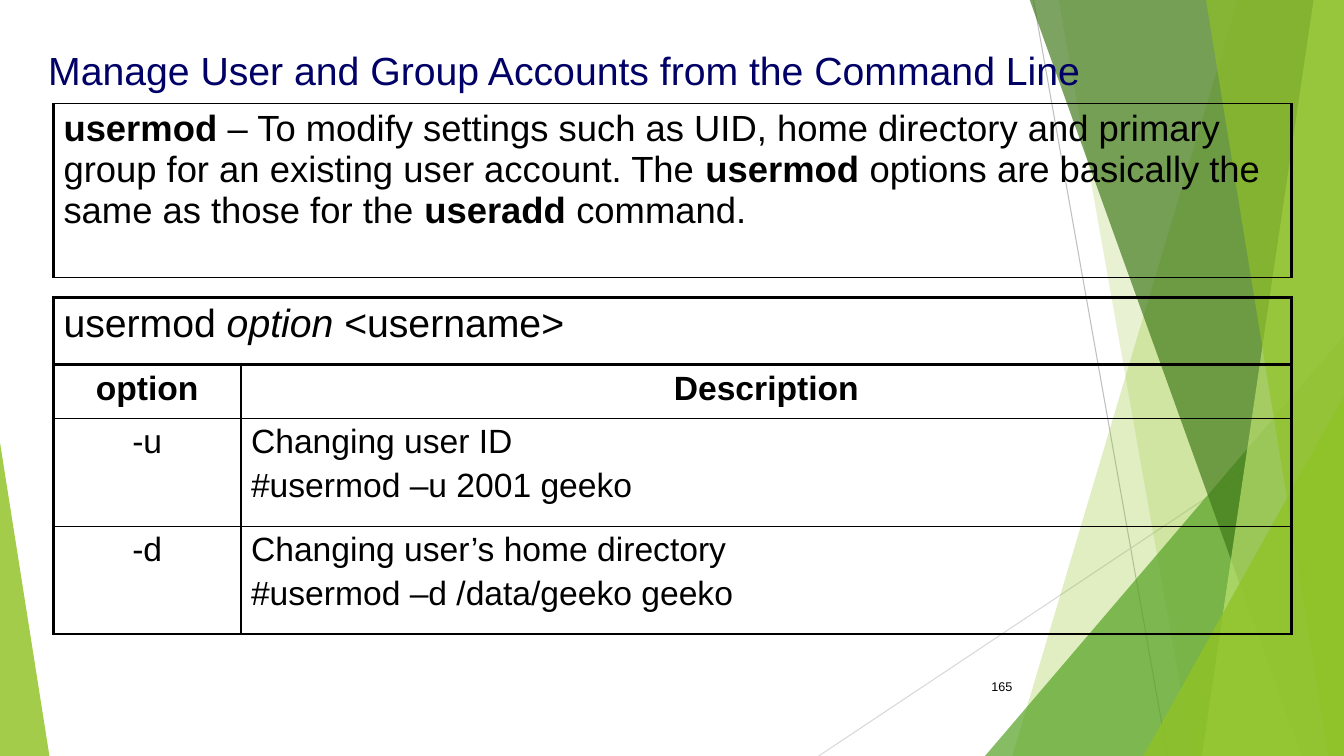
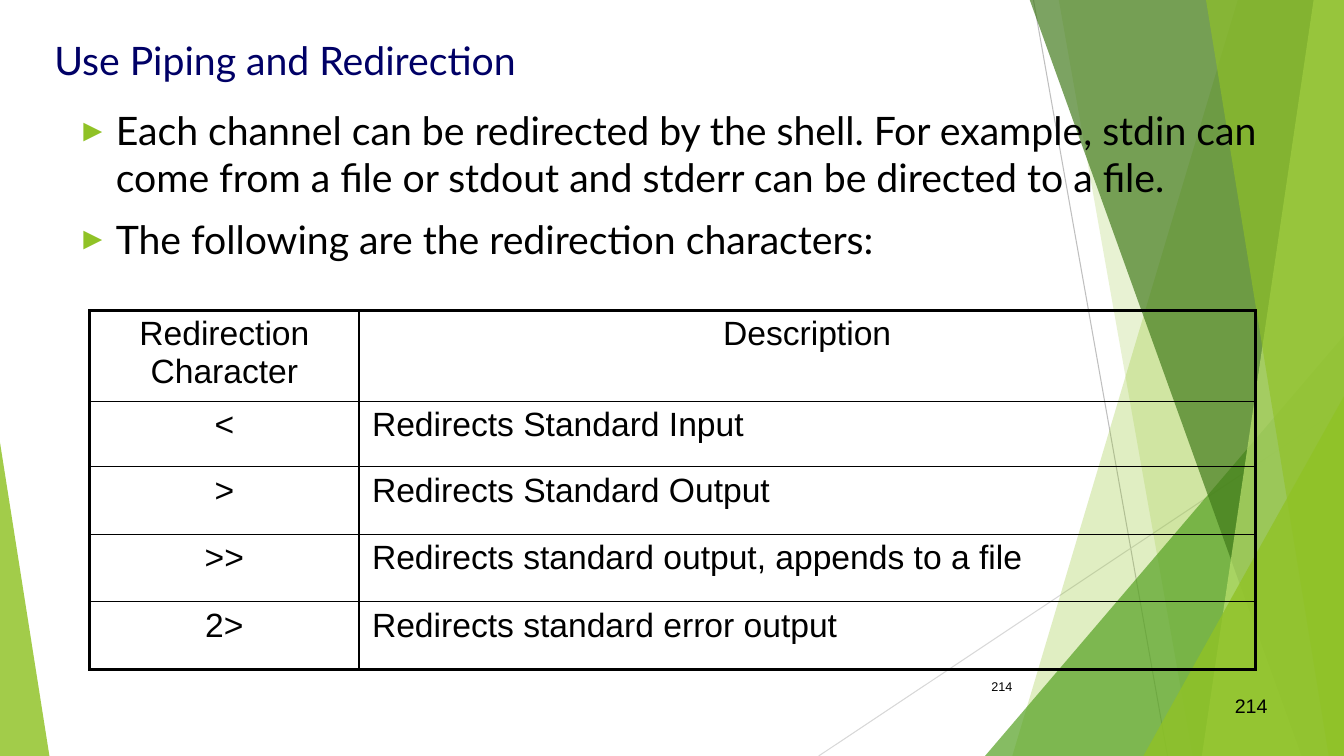
from lxml.etree import SubElement
from pptx import Presentation
from pptx.dml.color import RGBColor as RGB
from pptx.enum.shapes import MSO_CONNECTOR as CONN, MSO_SHAPE as SHAPE
from pptx.enum.text import MSO_ANCHOR as ANCHOR, PP_ALIGN as ALIGN
from pptx.oxml import parse_xml
from pptx.oxml.ns import nsdecls, qn
from pptx.util import Pt

PX = 9144
W, H = 1333, 750
COLORS = {
    "text": "000000", "title": "000066", "green": "90C226",
    "leaf": "54A021", "forest": "3F7818", "lime": "BFE471",
    "gray": "BFBFBF", "silver": "D8D8D8",
}
THICK, THIN = 2.25, 1
BLADES = [
    ("free", (1228, 1004), "green", 28),
    ("free", (1050, 1183), "green", 20),
    ("triangle", (977, 333, 356, 417, 1), "leaf", 70),
    ("free", (1021, 1291), "forest", 68),
    ("free", (1303, 1192), "lime", 68),
    ("free", (1196, 1318), "green", 63),
    ("triangle", (1134, 393, 199, 357, 1), "green", 80),
    ("triangle", (0, 439, 49, 311, 0), "green", 83),
]


def rgb(name):
    return RGB.from_string(COLORS[name])


def write(p, text, size=24, font="Arial", color="text", bold=False, italic=False):
    r = p.add_run()
    r.text = text
    f = r.font
    f.size, f.name, f.bold, f.italic = Pt(size), font, bold, italic
    f.color.rgb = rgb(color)


class Deck:
    def __init__(self):
        self.prs = Presentation()
        self.prs.slide_width, self.prs.slide_height = W * PX, H * PX
        self.s = None

    def slide(self):
        self.s = self.prs.slides.add_slide(self.prs.slide_layouts[6])
        self.line(1025, 0, 1158, H, "gray")
        self.line(W, 403, 812, H, "silver")
        for kind, geometry, color, alpha in BLADES:
            draw = self.blade if kind == "free" else self.triangle
            self.paint(draw(*geometry), color, alpha)

    def line(self, x1, y1, x2, y2, color):
        c = self.s.shapes.add_connector(CONN.STRAIGHT, x1 * PX, y1 * PX, x2 * PX, y2 * PX)
        c.line.color.rgb = rgb(color)
        c.line.width = Pt(0.75)
        SubElement(c._element.spPr, qn("a:effectLst"))

    def blade(self, top, bottom):
        b = self.s.shapes.build_freeform(top, -1, scale=PX)
        b.add_line_segments([(W, -1), (W, H), (bottom, H)])
        return b.convert_to_shape()

    def triangle(self, x, y, w, h, apex):
        sp = self.s.shapes.add_shape(SHAPE.ISOSCELES_TRIANGLE, x * PX, y * PX, w * PX, h * PX)
        sp.adjustments[0] = apex
        return sp

    def paint(self, sp, color, alpha):
        sp.shadow.inherit = False
        sp.fill.solid()
        sp.fill.fore_color.rgb = rgb(color)
        sp.line.fill.background()
        fill = sp._element.spPr.find(qn("a:solidFill"))
        SubElement(fill[0], qn("a:alpha"), val=str(alpha * 1000))

    def text(self, x, y, w, h, text, align=ALIGN.LEFT, anchor=ANCHOR.TOP, spacing=None, **fmt):
        tf = self.s.shapes.add_textbox(x * PX, y * PX, w * PX, h * PX).text_frame
        tf.word_wrap = True
        tf.vertical_anchor = anchor
        p = tf.paragraphs[0]
        p.alignment = align
        if spacing:
            p.line_spacing = spacing
        write(p, text, **fmt)
        return tf

    def title(self, x, y, w, h, text, **fmt):
        self.text(x, y, w, h, text, size=28, color="title", **fmt)

    def number(self, text):
        self.text(939, 661, 75, 40, text, ALIGN.RIGHT, ANCHOR.MIDDLE, size=9)

    def bullets(self, x, y, w, h, items, **fmt):
        tf = self.s.shapes.add_textbox(x * PX, y * PX, w * PX, h * PX).text_frame
        tf.word_wrap = True
        for i, item in enumerate(items):
            p = tf.add_paragraph() if i else tf.paragraphs[0]
            pPr = p._p.get_or_add_pPr()
            pPr.set("marL", str(38 * PX))
            pPr.set("indent", str(-38 * PX))
            color = SubElement(pPr, qn("a:buClr"))
            SubElement(color, qn("a:srgbClr"), val=COLORS["green"])
            SubElement(pPr, qn("a:buSzPct"), val="80000")
            SubElement(pPr, qn("a:buFont"), typeface="Arial")
            SubElement(pPr, qn("a:buChar"), char="►")
            if i:
                p.space_before = Pt(10)
            write(p, item, **fmt)

    def table(self, x, y, cols, rows, data, edges=(THICK,) * 4, margin=10, centered=(), **fmt):
        frame = self.s.shapes.add_table(len(rows), len(cols), x * PX, y * PX,
                                        sum(cols) * PX, sum(rows) * PX)
        t = frame.table
        t.first_row = t.horz_banding = False
        for col, w in zip(t.columns, cols):
            col.width = w * PX
        for row, h in zip(t.rows, rows):
            row.height = h * PX
        left, top, right, bottom = edges
        for i, values in enumerate(data):
            for j, paragraphs in enumerate(values):
                cell = t.cell(i, j)
                cell.margin_left = cell.margin_right = margin * PX
                cell.fill.background()
                self.borders(cell, (
                    left if j == 0 else THIN,
                    right if j == len(cols) - 1 else THIN,
                    top if i == 0 else THIN,
                    bottom if i == len(rows) - 1 else THIN))
                align = ALIGN.CENTER if (i, j) in centered else ALIGN.LEFT
                self.fill_cell(cell, paragraphs, align, fmt)

    def fill_cell(self, cell, paragraphs, align, fmt):
        tf = cell.text_frame
        for k, runs in enumerate(paragraphs):
            p = tf.add_paragraph() if k else tf.paragraphs[0]
            p.alignment = align
            if k:
                p.space_before = Pt(4.8)
            for text, style in runs:
                write(p, text, **{**fmt, **style})

    def borders(self, cell, widths):
        tcPr = cell._tc.get_or_add_tcPr()
        for k, (side, width) in enumerate(zip("LRTB", widths)):
            tcPr.insert(k, parse_xml(
                f'<a:ln{side} {nsdecls("a")} w="{Pt(width)}"><a:solidFill>'
                f'<a:srgbClr val="{COLORS["text"]}"/></a:solidFill></a:ln{side}>'))


def cell(*lines, **style):
    return [[(text, style)] for text in lines]


def usermod_slide(d):
    d.slide()
    d.number("165")
    bold, italic = {"bold": True}, {"italic": True}
    summary = [
        ("usermod", bold),
        (" – To modify settings such as UID, home directory and primary group "
         "for an existing user account. The ", {}),
        ("usermod ", bold),
        ("options are basically the same as those for the ", {}),
        ("useradd ", bold),
        ("command.", {}),
    ]
    d.table(53, 103, [1228], [172], [[[summary]]], edges=(THICK, THIN, THICK, THIN), size=26)
    d.table(53, 362, [186, 1042], [53, 107, 107], [
        [cell("option", **bold), cell("Description", **bold)],
        [cell("-u"), cell("Changing user ID", "#usermod –u 2001 geeko")],
        [cell("-d"), cell("Changing user’s home directory", "#usermod –d /data/geeko geeko")],
    ], centered=[(0, 0), (0, 1), (1, 0), (2, 0)])
    syntax = [("usermod ", {}), ("option", italic), (" <username>", {})]
    d.table(53, 295, [1228], [67], [[[syntax]]], size=28)
    d.title(38, 41, 1087, 57, "Manage User and Group Accounts from the Command Line")


def redirection_slide(d):
    d.slide()
    d.text(956, 683, 311, 52, "214", ALIGN.RIGHT, size=14)
    d.bullets(67, 101, 1200, 170, [
        "Each channel can be redirected by the shell. For example, stdin can come "
        "from a file or stdout and stderr can be directed to a file.",
        "The following are the redirection characters:",
    ], size=28, font="Lato")
    rows = [
        ("Redirection Character", "Description"),
        ("<", "Redirects Standard Input"),
        (">", "Redirects Standard Output"),
        (">>", "Redirects standard output, appends to a file"),
        ("2>", "Redirects standard error output"),
    ]
    d.table(89, 308, [267, 889], [90, 65, 67, 67, 67],
            [[cell(text) for text in row] for row in rows], margin=13,
            centered=[(0, 1)] + [(i, 0) for i in range(len(rows))])
    d.number("214")
    d.title(44, 40, 1289, 85, "Use Piping and Redirection", font="Lato", spacing=0.8)


def main():
    d = Deck()
    usermod_slide(d)
    redirection_slide(d)
    d.prs.save("out.pptx")


if __name__ == "__main__":
    main()
